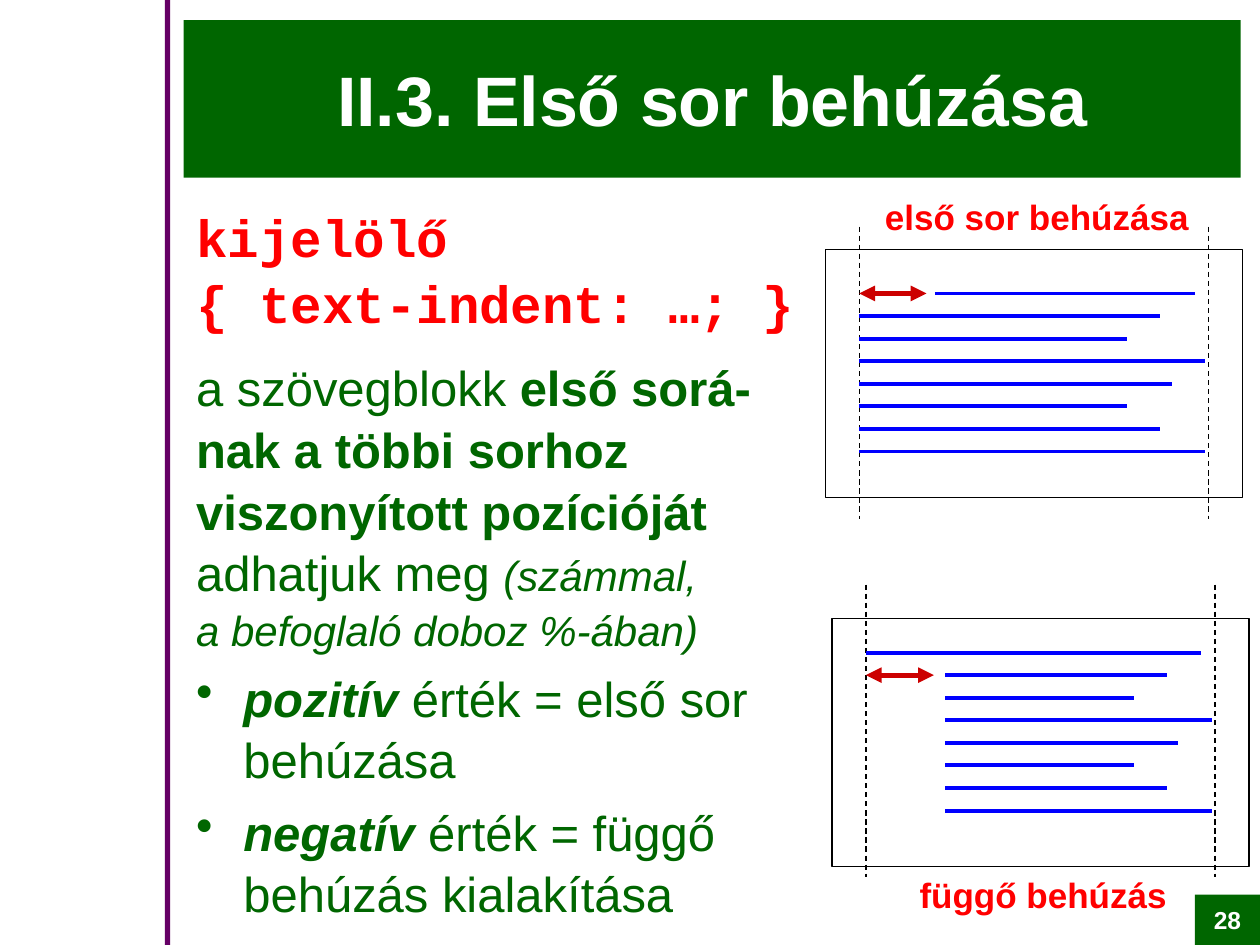
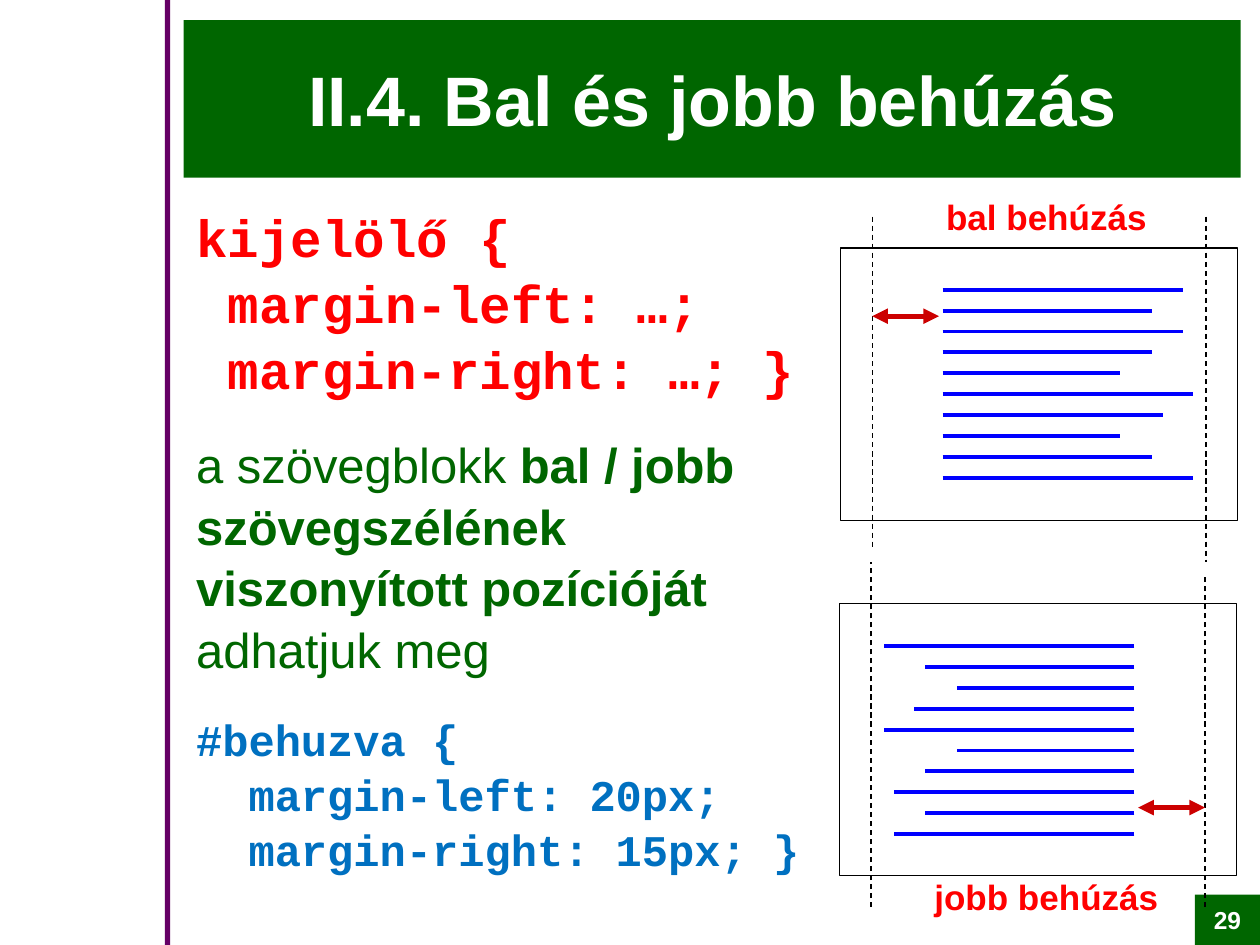
import dataclasses
import pptx
import pptx.util
import pptx.dml.color
import pptx.enum.dml
import pptx.enum.shapes
import pptx.enum.text
import pptx.oxml.ns
import lxml.etree

Pt = pptx.util.Pt
ALIGN = pptx.enum.text.PP_ALIGN
ANCHOR = pptx.enum.text.MSO_ANCHOR
TITLE_ONLY = 5


@dataclasses.dataclass(frozen=True)
class Theme:
    green: str = "006600"
    purple: str = "660066"
    white: str = "FFFFFF"
    black: str = "000000"
    red: str = "FF0000"
    arrow_red: str = "CC0000"
    line_blue: str = "0000FF"
    code_blue: str = "0070C0"
    sans: str = "Arial"
    mono: str = "Courier New"
    title_size: float = 40
    code_size: float = 30
    body_size: float = 28
    example_size: float = 25
    note_size: float = 24
    caption_size: float = 20
    number_size: float = 14
    body_spacing: float = 1.05


THEME = Theme()


@dataclasses.dataclass(frozen=True)
class Box:
    left: float
    top: float
    width: float
    height: float

    def lengths(self):
        return [Pt(value) for value in dataclasses.astuple(self)]


@dataclasses.dataclass(frozen=True)
class Span:
    text: str
    size: float = THEME.body_size
    color: str = THEME.green
    font: str = THEME.sans
    bold: bool = False
    italic: bool = False


@dataclasses.dataclass(frozen=True)
class Para:
    spans: list
    before: float = 0
    after: float = 0
    hang: float = 0
    bullet: str = ""


@dataclasses.dataclass(frozen=True)
class Sketch:
    """Text lines inside a frame; all offsets run from the frame's corner."""
    guides: list   # (x, top, bottom)
    arrow: tuple   # (from x, to x, y)
    lines: list    # (from x, to x)
    first_y: float
    pitch: float


# Shared regions
BAR = Box(94.3, 0, 2.9, 540)
TITLE = Box(105, 11.5, 604, 90)
BODY = Box(105, 111.6, 364.6, 417)
NUMBER = Box(682.8, 511.2, 37.2, 28.8)


def rgb(value):
    return pptx.dml.color.RGBColor.from_string(value)


def add_child(parent, tag, **attributes):
    child = lxml.etree.SubElement(parent, pptx.oxml.ns.qn(tag))
    for name, value in attributes.items():
        child.set(name, value)
    return child


# Text helpers
def write_para(para, content, align=ALIGN.LEFT):
    para.alignment = align
    para.space_before, para.space_after = Pt(content.before), Pt(content.after)
    properties = para._p.get_or_add_pPr()
    if content.hang:
        properties.set("marL", str(Pt(content.hang)))
        properties.set("indent", str(-Pt(content.hang)))
    if content.bullet:
        add_child(properties, "a:buChar", char=content.bullet)
    for span in content.spans:
        for index, text in enumerate(span.text.split("\n")):
            if index:
                para.add_line_break()
            run = para.add_run()
            run.text = text
            run.font.size, run.font.name = Pt(span.size), span.font
            run.font.bold, run.font.italic = span.bold, span.italic
            run.font.color.rgb = rgb(span.color)


def write_label(shape, text, size, color):
    frame = shape.text_frame
    frame.word_wrap = True
    span = Span(text, size, color, bold=True)
    write_para(frame.paragraphs[0], Para([span]), ALIGN.CENTER)
    return frame


# Drawing helpers
def add_rect(shapes, box, fill=None, outline=None):
    rect = shapes.add_shape(pptx.enum.shapes.MSO_SHAPE.RECTANGLE, *box.lengths())
    rect.shadow.inherit = False
    if fill:
        rect.fill.solid()
        rect.fill.fore_color.rgb = rgb(fill)
    else:
        rect.fill.background()
    if outline:
        rect.line.color.rgb = rgb(outline)
        rect.line.width = Pt(0.75)
    else:
        rect.line.fill.background()
    return rect


def add_line(shapes, start, end, color, width, dashed=False, arrows=False):
    line = shapes.add_connector(pptx.enum.shapes.MSO_CONNECTOR.STRAIGHT,
                                *[Pt(value) for value in (*start, *end)])
    line.line.color.rgb = rgb(color)
    line.line.width = Pt(width)
    if dashed:
        line.line.dash_style = pptx.enum.dml.MSO_LINE.DASH
    if arrows:
        outline = line.line._get_or_add_ln()
        add_child(outline, "a:headEnd", type="triangle")
        add_child(outline, "a:tailEnd", type="triangle")
    add_child(line._element.spPr, "a:effectLst")


# Regions
def draw_frame(page, title, number):
    add_rect(page.shapes, BAR, THEME.purple)
    heading = page.shapes.title
    heading.left, heading.top, heading.width, heading.height = TITLE.lengths()
    heading.fill.solid()
    heading.fill.fore_color.rgb = rgb(THEME.green)
    frame = write_label(heading, title, THEME.title_size, THEME.white)
    frame.auto_size = pptx.enum.text.MSO_AUTO_SIZE.NONE
    frame.vertical_anchor = ANCHOR.MIDDLE
    badge = add_rect(page.shapes, NUMBER, THEME.green)
    frame = write_label(badge, str(number), THEME.number_size, THEME.white)
    frame.vertical_anchor = ANCHOR.MIDDLE


def draw_body(page, box, contents):
    frame = page.shapes.add_textbox(*box.lengths()).text_frame
    frame.word_wrap = True
    for index, content in enumerate(contents):
        para = frame.add_paragraph() if index else frame.paragraphs[0]
        para.line_spacing = THEME.body_spacing
        write_para(para, content)


def draw_caption(page, box, text):
    caption = page.shapes.add_textbox(*box.lengths())
    write_label(caption, text, THEME.caption_size, THEME.red)


def draw_sketch(page, box, sketch, turned=False):
    """Draw the sketch in its box, turned by half a circle if asked."""
    def place(x, y):
        if turned:
            x, y = box.width - x, box.height - y
        return box.left + x, box.top + y

    shapes = page.shapes.add_group_shape().shapes
    add_rect(shapes, box, outline=THEME.black)
    for x, top, bottom in sketch.guides:
        add_line(shapes, place(x, top), place(x, bottom), THEME.black, 0.75, dashed=True)
    start, end, y = sketch.arrow
    add_line(shapes, place(start, y), place(end, y), THEME.arrow_red, 3, arrows=True)
    for index, (start, end) in enumerate(sketch.lines):
        y = sketch.first_y + index * sketch.pitch
        add_line(shapes, place(start, y), place(end, y), THEME.line_blue, 2.25)


def code(text, size=THEME.code_size, color=THEME.red):
    return Span(text, size, color, THEME.mono, bold=True)


def value_bullet(name, meaning):
    return Para([Span(name, bold=True, italic=True), Span(meaning)],
                before=6, hang=27, bullet="•")


# Slides
def build_first_line_slide(page):
    draw_frame(page, "II.3. Első sor behúzása", 28)
    draw_body(page, BODY, [
        Para([code("kijelölő\n{ text-indent: …; }")], after=12),
        Para([Span("a szövegblokk "),
              Span("első sorá-nak a többi sorhoz viszonyított pozícióját", bold=True),
              Span(" adhatjuk meg "),
              Span("(számmal,\na befoglaló doboz %-ában)", THEME.note_size, italic=True)]),
        value_bullet("pozitív", " érték = első sor behúzása"),
        value_bullet("negatív", " érték = függő behúzás kialakítása"),
    ])
    margin, right, pitch = 19.4, 218.9, 12.9
    first_end, *other_ends = 211, 191.5, 172.4, 217, 198, 172.4, 191.5, 217
    indented = Sketch(
        guides=[(x, -13, 154) for x in (margin, right)],
        arrow=(margin, 57.8, 25.2),
        lines=[(62.6, first_end)] + [(margin, end) for end in other_ends],
        first_y=25.2, pitch=pitch)
    hanging = Sketch(
        guides=[(x, -19.4, 147.6) for x in (margin, right)],
        arrow=(margin, 58.3, 19.4 + pitch),
        lines=[(margin, first_end)] + [(64.8, end) for end in other_ends],
        first_y=19.4, pitch=pitch)
    draw_sketch(page, Box(471.6, 142.5, 238.3, 141.8), indented)
    draw_sketch(page, Box(475.4, 353.5, 238.3, 141.8), hanging)
    draw_caption(page, Box(471.6, 108, 241.9, 31.7), "első sor behúzása")
    draw_caption(page, Box(475.2, 495.4, 241.9, 31.7), "függő behúzás")


def build_margins_slide(page):
    draw_frame(page, "II.4. Bal és jobb behúzás", 29)
    draw_body(page, BODY, [
        Para([code("kijelölő {\nmargin-left: …;\nmargin-right: …; }")], after=18, hang=18),
        Para([Span("a szövegblokk "),
              Span("bal / jobb szövegszélének viszonyított pozícióját", bold=True),
              Span(" adhatjuk meg")], after=18),
        Para([code("#behuzva {\nmargin-left: 20px;\nmargin-right: 15px; }",
                   THEME.example_size, THEME.code_blue)], hang=30),
    ])
    ends = [195.8, 177.8, 195.8, 177.8, 159.8, 201.6, 184.3, 159.8, 177.8, 201.6]
    shifted = Sketch(
        guides=[(18, -18, 172.8), (208.8, -18, 179.3)],
        arrow=(18, 56.2, 38.9),
        lines=[(58.3, end) for end in ends],
        first_y=23.8, pitch=11.93)
    draw_sketch(page, Box(480.4, 141.8, 226.8, 155.5), shifted)
    draw_sketch(page, Box(479.8, 344.9, 226.8, 155.5), shifted, turned=True)
    for top, text in ((108, "bal behúzás"), (496.8, "jobb behúzás")):
        draw_caption(page, Box(490.3, top, 215.3, 31.7), text)


def main():
    deck = pptx.Presentation()
    deck.slide_width, deck.slide_height = Pt(720), Pt(540)
    for build in (build_first_line_slide, build_margins_slide):
        build(deck.slides.add_slide(deck.slide_layouts[TITLE_ONLY]))
    deck.save("out.pptx")


if __name__ == "__main__":
    main()
